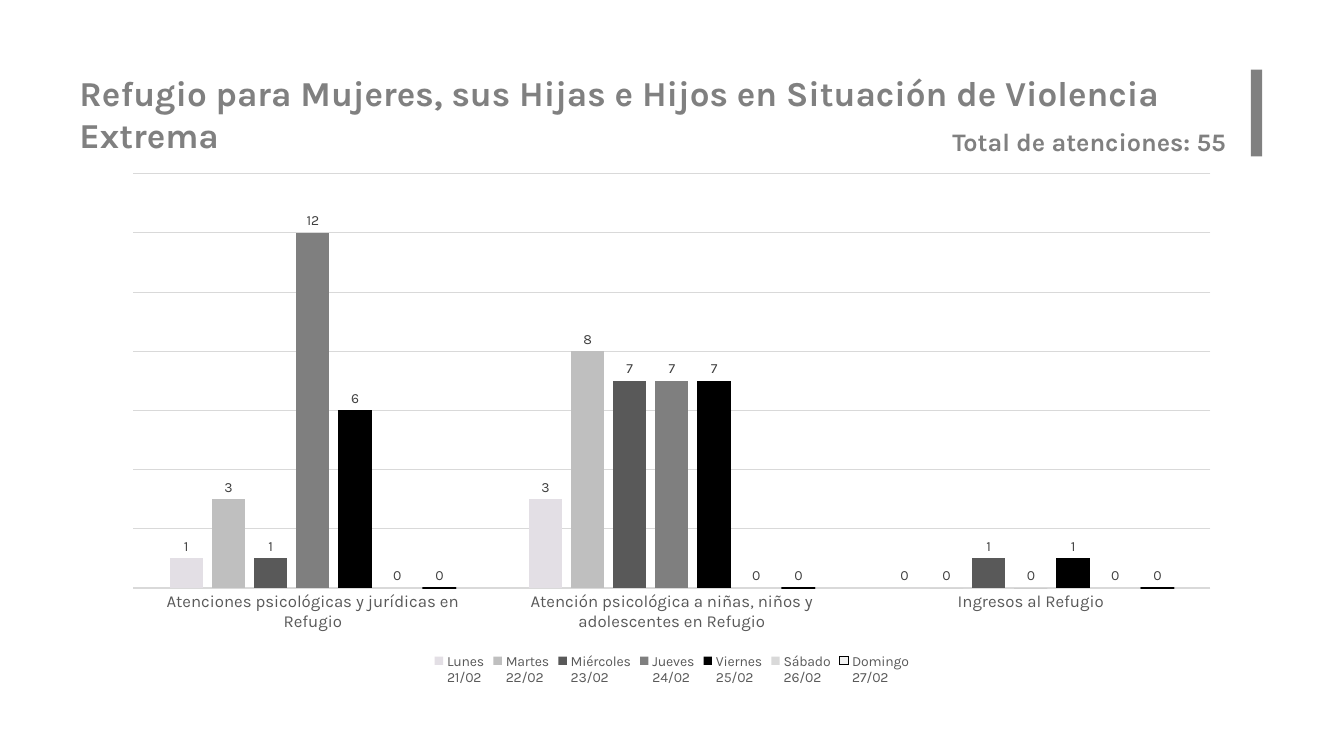
"""Build the slide with the weekly shelter attendance chart."""
import pptx
import pptx.chart.data
import pptx.dml.color
import pptx.enum.chart
import pptx.enum.shapes
import pptx.enum.text
import pptx.util

Pt = pptx.util.Pt
COLORS = {"heading": "808080", "label": "404040", "axis": "595959", "grid": "D9D9D9", "black": "000000"}


def rgb(value):
    return pptx.dml.color.RGBColor.from_string(value)


def style(font, size, color, bold=False):
    for name, value in {"name": "Karla", "size": Pt(size), "bold": bold}.items():
        setattr(font, name, value)
    font.color.rgb = rgb(color)


deck = pptx.Presentation()
deck.slide_width, deck.slide_height = Pt(960), Pt(540)
page = deck.slides.add_slide(deck.slide_layouts[6])

accent = page.shapes.add_shape(
    pptx.enum.shapes.MSO_SHAPE.RECTANGLE, Pt(893.5), Pt(49.7), Pt(8), Pt(62))
accent.shadow.inherit = False
accent.fill.solid()
accent.fill.fore_color.rgb = rgb(COLORS["heading"])
accent.line.fill.background()

headings = [
    ("Total de atenciones: 55", 18, (673.2, 86.4, 220.3, 29)),
    ("Refugio para Mujeres, sus Hijas e Hijos en Situación de Violencia Extrema", 25,
     (49.7, 47.5, 843.8, 37.4)),
]
for text, size, place in headings:
    box = page.shapes.add_textbox(*map(Pt, place))
    box.text_frame.word_wrap = True
    box.text_frame.auto_size = pptx.enum.text.MSO_AUTO_SIZE.SHAPE_TO_FIT_TEXT
    span = box.text_frame.paragraphs[0].add_run()
    span.text = text
    style(span.font, size, COLORS["heading"], True)

days = [
    ("Lunes", (1, 3, 0), "E3DFE5"),
    ("Martes", (3, 8, 0), "BFBFBF"),
    ("Miércoles", (1, 7, 1), "595959"),
    ("Jueves", (12, 7, 0), "7F7F7F"),
    ("Viernes", (6, 7, 1), "000000"),
    ("Sábado", (0, 0, 0), "D9D9D9"),
    ("Domingo", (0, 0, 0), "F2F2F2"),
]
data = pptx.chart.data.CategoryChartData()
data.categories = [
    "Atenciones psicológicas y jurídicas en Refugio",
    "Atención psicológica a niñas, niños y adolescentes en Refugio",
    "Ingresos al Refugio",
]
for date, (day, values, color) in enumerate(days, start=21):
    data.add_series(f"{day}\n{date}/02", values)

chart = page.shapes.add_chart(
    pptx.enum.chart.XL_CHART_TYPE.COLUMN_CLUSTERED,
    Pt(79.2), Pt(116.6), Pt(801.4), Pt(375.8), data).chart
style(chart.font, 10, COLORS["black"])
chart.has_title = False
chart.has_legend = True
chart.legend.position = pptx.enum.chart.XL_LEGEND_POSITION.BOTTOM
chart.legend.include_in_layout = False
style(chart.legend.font, 10, COLORS["axis"])

category_axis = chart.category_axis
category_axis.major_tick_mark = pptx.enum.chart.XL_TICK_MARK.NONE
style(category_axis.tick_labels.font, 12, COLORS["axis"])
value_axis = chart.value_axis
for name, value in {"visible": False, "has_major_gridlines": True, "minimum_scale": 0,
                    "maximum_scale": 14, "major_unit": 2}.items():
    setattr(value_axis, name, value)
for line in (category_axis.format.line, value_axis.major_gridlines.format.line):
    line.color.rgb = rgb(COLORS["grid"])
    line.width = Pt(0.75)

plot = chart.plots[0]
for name, value in {"gap_width": 219, "overlap": -27, "vary_by_categories": False}.items():
    setattr(plot, name, value)
for series, (day, values, color) in zip(plot.series, days):
    series.format.fill.solid()
    series.format.fill.fore_color.rgb = rgb(color)
    series.invert_if_negative = False
    labels = series.data_labels
    labels.show_value = True
    labels.position = pptx.enum.chart.XL_LABEL_POSITION.OUTSIDE_END
    style(labels.font, 10, COLORS["label"])
sunday = plot.series[len(days) - 1].format.line
sunday.color.rgb = rgb(COLORS["black"])
sunday.width = Pt(0.75)

deck.save("out.pptx")
